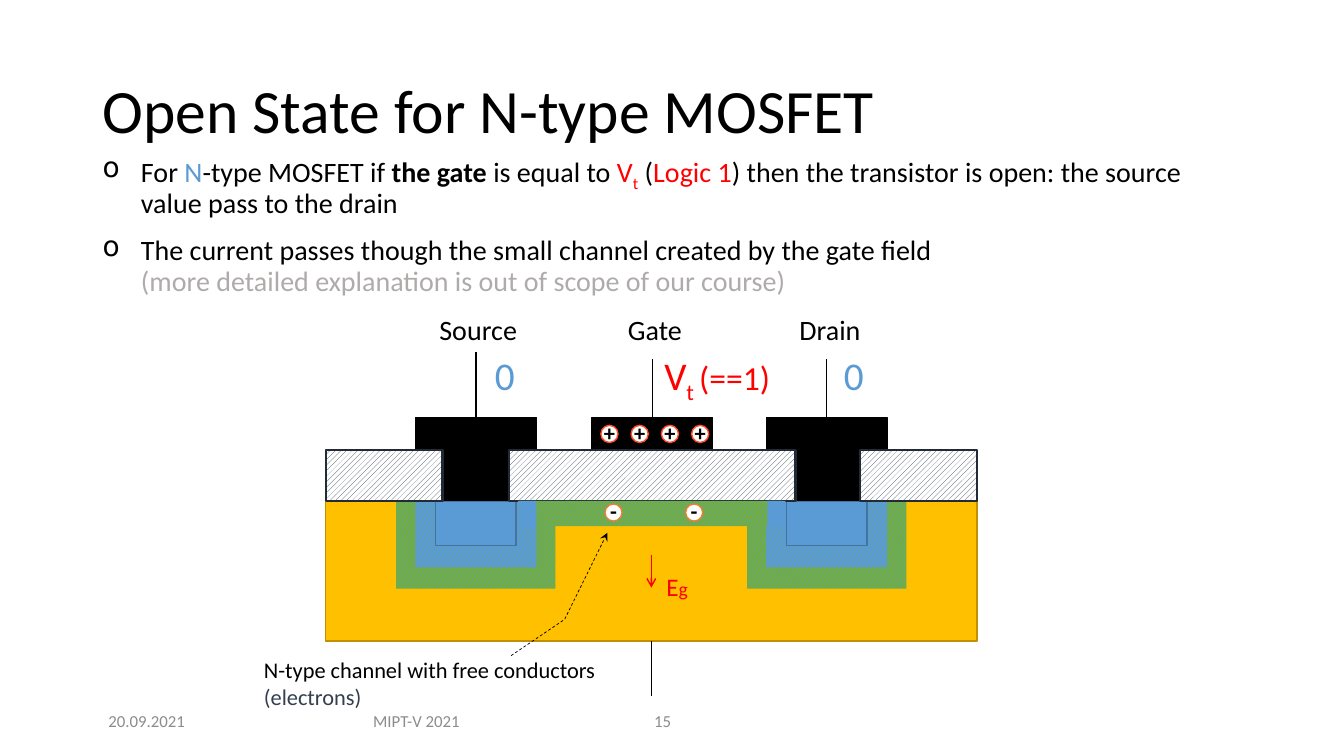
import pptx
import pptx.util
import pptx.dml.color
import pptx.enum.dml
import pptx.enum.shapes
import pptx.enum.text
import pptx.oxml
import pptx.oxml.ns

Inches, Pt = pptx.util.Inches, pptx.util.Pt
SHAPE = pptx.enum.shapes.MSO_SHAPE
PATTERN = pptx.enum.dml.MSO_PATTERN
ALIGN = pptx.enum.text.PP_ALIGN
ANCHOR = pptx.enum.text.MSO_ANCHOR

BLACK, WHITE, RED, BLUE, GREEN = "000000", "FFFFFF", "FF0000", "5B9BD5", "70AD47"
GREY, PALE, SLATE = "8C8C8C", "AFABAB", "333F50"

TITLE = [("Open State for N-type MOSFET", 44, BLACK)]
BULLETS = [
    (10, [("For ", 20, BLACK), ("N", 20, BLUE), ("-type MOSFET if ", 20, BLACK),
          ("the gate ", 20, BLACK, "bold"), ("is equal to ", 20, BLACK),
          ("V", 20, RED), ("t", 20, RED, "sub"), (" (", 20, BLACK), ("Logic 1", 20, RED),
          (") then the transistor is open: the source value pass to the drain", 20, BLACK)]),
    (12, [("The current passes though the small channel created by the gate field ", 20, BLACK),
          ("\n", 20, BLACK),
          ("(more detailed explanation is out of scope of our course) ", 20, PALE)]),
]
LABELS = [
    ((4.26, 3.05, 0.97, 0.44), [("Source", 20, BLACK)]),
    ((6.13, 3.05, 0.75, 0.44), [("Gate", 20, BLACK)]),
    ((7.83, 3.05, 0.82, 0.44), [("Drain", 20, BLACK)]),
    ((6.49, 3.44, 1.4, 0.57), [("V", 28, RED), ("t ", 28, RED, "sub"), ("(==1)", 24, RED)]),
    ((4.81, 3.44, 0.42, 0.57), [("0", 28, BLUE)]),
    ((8.27, 3.44, 0.42, 0.57), [("0", 28, BLUE)]),
    ((6.51, 5.62, 0.42, 0.4), [("E", 18, RED), ("g", 14, RED)]),
]
CHANNEL_NOTE = [("N-type channel with free conductors ", 16, BLACK), ("(electrons)", 16, SLATE)]
FOOTERS = [
    ((0.92, 6.95, 1.07, 0.4), "20.09.2021", ALIGN.CENTER),
    ((3.34, 6.95, 1.58, 0.4), "MIPT-V 2021", ALIGN.CENTER),
    ((6.39, 6.95, 0.79, 0.4), "15", ALIGN.LEFT),
]

SOURCE_X, GATE_X, DRAIN_X = 4.72, 6.47, 8.2
CONTACT_TOP, OXIDE_TOP, SILICON_TOP = 4.14, 4.46, 4.97
LEADS = [(SOURCE_X, CONTACT_TOP, 3.49), (GATE_X, CONTACT_TOP, 3.56),
         (DRAIN_X, CONTACT_TOP, 3.56), (6.46, 6.36, 6.9)]
ON_GREEN = (PATTERN.LARGE_CONFETTI, BLUE, GREEN)
ON_BLUE = (PATTERN.LARGE_CONFETTI, GREEN, BLUE)
HATCH = (PATTERN.WIDE_UPWARD_DIAGONAL, SLATE, WHITE)
WELL = [(1.58, 0.87, ON_GREEN, None), (1.2, 0.66, ON_BLUE, None), (0.8, 0.44, BLUE, "43739E")]
OXIDE = [(3.23, 1.16), (5.05, 2.84), (8.53, 1.16)]
CHARGES = [("+", 5.96, 4.22, 0.3, 4, "FF4F25", 0.02), ("-", 6.0, 5.0, 0.8, 2, "ED7D31", 0.03)]

prs = pptx.Presentation()
prs.slide_width, prs.slide_height = Inches(13.33), Inches(7.5)
s = prs.slides.add_slide(prs.slide_layouts[6])


def rgb(color):
    return pptx.dml.color.RGBColor.from_string(color)


def sub_element(parent, tag, **attrs):
    el = pptx.oxml.parse_xml(f"<a:{tag} {pptx.oxml.ns.nsdecls('a')}/>")
    for key, value in attrs.items():
        el.set(key, value)
    parent.append(el)


def write(p, runs):
    for text, size, color, *style in runs:
        if text == "\n":
            p.add_line_break()
            continue
        r = p.add_run()
        r.text = text
        r.font.name, r.font.size = "Calibri", Pt(size)
        r.font.bold = "bold" in style
        r.font.color.rgb = rgb(color)
        if "sub" in style:
            r.font._element.set("baseline", "-25000")


def text_box(at, runs, wrap=True, anchor=ANCHOR.TOP, align=ALIGN.LEFT):
    sp = s.shapes.add_textbox(*map(Inches, at))
    tf = sp.text_frame
    tf.word_wrap, tf.vertical_anchor = wrap, anchor
    tf.paragraphs[0].alignment = align
    write(tf.paragraphs[0], runs)
    return tf


def shape(at, fill=None, line=None, width=1, kind=SHAPE.RECTANGLE):
    sp = s.shapes.add_shape(kind, *map(Inches, at))
    sp.shadow.inherit = False
    if fill is None:
        sp.fill.background()
    elif isinstance(fill, tuple):
        sp.fill.patterned()
        sp.fill.pattern, fore, back = fill
        sp.fill.fore_color.rgb, sp.fill.back_color.rgb = rgb(fore), rgb(back)
    else:
        sp.fill.solid()
        sp.fill.fore_color.rgb = rgb(fill)
    if line:
        sp.line.color.rgb, sp.line.width = rgb(line), Pt(width)
    else:
        sp.line.fill.background()
    return sp


def connect(x1, y1, x2, y2, color=BLACK, arrow=None):
    sp = s.shapes.add_connector(pptx.enum.shapes.MSO_CONNECTOR.STRAIGHT,
                                *map(Inches, (x1, y1, x2, y2)))
    sp.line.color.rgb, sp.line.width = rgb(color), Pt(1)
    if arrow:
        sub_element(sp.line._get_or_add_ln(), "tailEnd", type=arrow)
    sub_element(sp._element.spPr, "effectLst")


text_box((0.92, 0.4, 11.5, 1.45), TITLE, anchor=ANCHOR.MIDDLE).paragraphs[0].line_spacing = 0.9
tf = text_box((0.92, 1.49, 11.38, 1.09), [])
for i, (before, runs) in enumerate(BULLETS):
    p = tf.add_paragraph() if i else tf.paragraphs[0]
    p.line_spacing, p.space_before = 0.9, Pt(before)
    pPr = p._p.get_or_add_pPr()
    pPr.set("marL", str(Inches(0.38)))
    pPr.set("indent", str(-Inches(0.38)))
    sub_element(pPr, "buChar", char="o")
    write(p, runs)

shape((3.23, SILICON_TOP, 6.46, 1.39), "FFC000", "BF9000")
for x, y1, y2 in LEADS:
    connect(x, y1, x, y2)
for x in (SOURCE_X, DRAIN_X):
    for w, h, fill, line in WELL:
        shape((x - w / 2, SILICON_TOP, w, h), fill, line)
for x in (SOURCE_X, GATE_X, DRAIN_X):
    shape((x - 0.6, CONTACT_TOP, 1.2, 0.82), BLACK, BLACK)
for x, w in OXIDE:
    shape((x, OXIDE_TOP, w, SILICON_TOP - OXIDE_TOP), HATCH, "222A35", 1.5)

shape((5.14, SILICON_TOP, 2.61, 0.25), ON_GREEN)
for x in (5.14, 7.61):
    shape((x, SILICON_TOP, 0.18, 0.26), BLUE)
for sign, left, top, step, count, line, bottom in CHARGES:
    for i in range(count):
        sp = shape((left + i * step, top, 0.17, 0.17), WHITE, line, kind=SHAPE.OVAL)
        tf = sp.text_frame
        tf.margin_left = tf.margin_top = tf.margin_right = 0
        tf.margin_bottom = Inches(bottom)
        tf.word_wrap, tf.vertical_anchor = False, ANCHOR.MIDDLE
        tf.paragraphs[0].alignment = ALIGN.CENTER
        write(tf.paragraphs[0], [(sign, 16, BLACK, "bold")])

note = shape((2.52, 6.46, 3.54, 0.45), None, BLACK, 0.5, SHAPE.LINE_CALLOUT_2_NO_BORDER)
for i, value in enumerate((0.1, 0.72, -0.7, 0.87, -2.61, 0.99)):
    note.adjustments[i] = value
note.line.dash_style = pptx.enum.dml.MSO_LINE.DASH
sub_element(note.line._get_or_add_ln(), "tailEnd", type="stealth")
tf = note.text_frame
tf.word_wrap, tf.vertical_anchor = True, ANCHOR.TOP
tf.paragraphs[0].alignment = ALIGN.LEFT
write(tf.paragraphs[0], CHANNEL_NOTE)

connect(6.46, 5.51, 6.46, 5.83, RED, "arrow")
for at, runs in LABELS:
    text_box(at, runs, wrap=False)
for at, text, align in FOOTERS:
    text_box(at, [(text, 12, GREY)], anchor=ANCHOR.MIDDLE, align=align)

prs.save("out.pptx")
